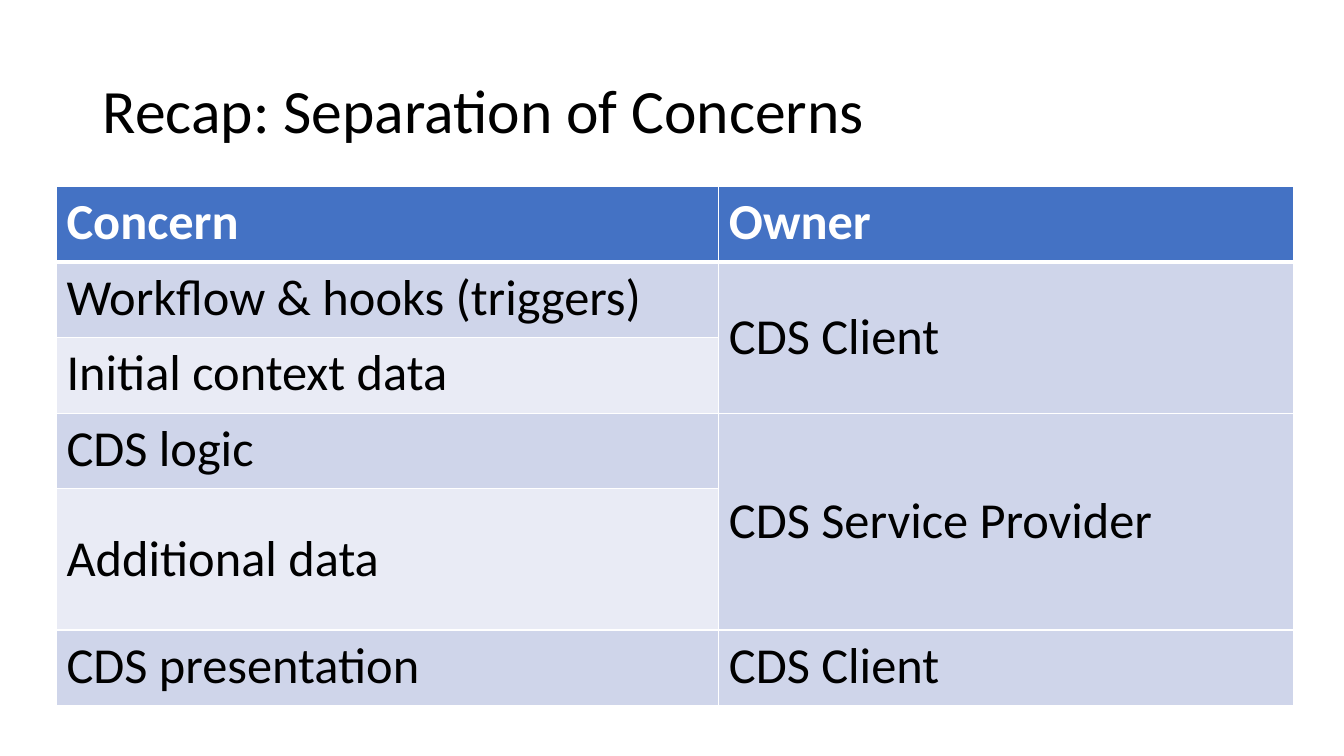
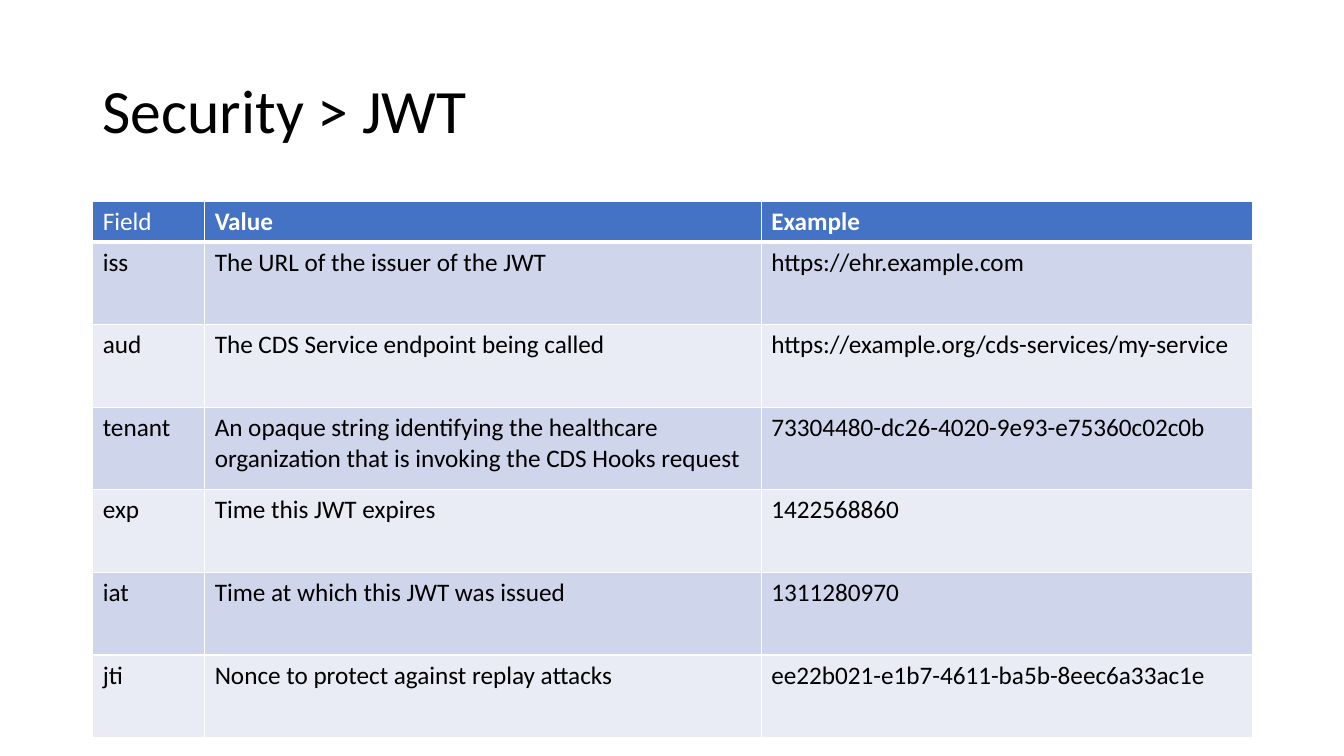
from lxml.etree import SubElement
from pptx import Presentation
from pptx.dml.color import RGBColor
from pptx.enum.text import MSO_ANCHOR as Anchor
from pptx.oxml.ns import qn
from pptx.util import Inches, Pt

FONT = "Calibri"
BLACK, WHITE = "000000", "FFFFFF"
HEADER, BANDS = "4472C4", ("E9EBF5", "CFD5EA")
TITLE_BOX = (0.92, 0.4, 11.5, 1.45)

CONCERNS = [
    ("Concern", "Owner"),
    ("Workflow & hooks (triggers)", "CDS Client"),
    ("Initial context data", None),
    ("CDS logic", "CDS Service Provider"),
    ("Additional data", None),
    ("CDS presentation", "CDS Client"),
]
JWT_FIELDS = [
    ("Field", "Value", "Example"),
    ("iss", "The URL of the issuer of the JWT", "https://ehr.example.com"),
    ("aud", "The CDS Service endpoint being called",
     "https://example.org/cds-services/my-service"),
    ("tenant", "An opaque string identifying the healthcare organization "
     "that is invoking the CDS Hooks request",
     "73304480-dc26-4020-9e93-e75360c02c0b"),
    ("exp", "Time this JWT expires", "1422568860"),
    ("iat", "Time at which this JWT was issued", "1311280970"),
    ("jti", "Nonce to protect against replay attacks",
     "ee22b021-e1b7-4611-ba5b-8eec6a33ac1e"),
]


def paint(color_format, value):
    color_format.rgb = RGBColor.from_string(value)


def write(frame, text, color, **style):
    para = frame.paragraphs[0]
    span = para.add_run()
    span.text = text
    for name, value in {"name": FONT, **style}.items():
        setattr(span.font, name, value)
    paint(span.font.color, color)
    return para


def add_title(slide, text, area):
    box = slide.shapes.add_textbox(*map(Inches, area))
    frame = box.text_frame
    frame.word_wrap = True
    frame.vertical_anchor = Anchor.MIDDLE
    write(frame, text, BLACK, size=Pt(44)).line_spacing = 0.9


def add_borders(cell, row):
    """White rules all round, heavier between the header and the body."""
    widths = {"L": 1, "R": 1, "T": 3 if row == 1 else 1, "B": 3 if row == 0 else 1}
    props = cell._tc.get_or_add_tcPr()
    for side, width in widths.items():
        line = SubElement(props, qn(f"a:ln{side}"), w=str(Pt(width)))
        fill = SubElement(line, qn("a:solidFill"))
        SubElement(fill, qn("a:srgbClr"), val=WHITE)


def add_grid(slide, rows, origin, widths, heights, size, plain=(), middle=()):
    """Banded table; None joins a cell to the one above it."""
    area = (*origin, sum(widths), sum(heights))
    table = slide.shapes.add_table(
        len(rows), len(widths), *map(Inches, area)).table
    for column, width in zip(table.columns, widths):
        column.width = Inches(width)
    for table_row, height in zip(table.rows, heights):
        table_row.height = Inches(height)
    for r, texts in enumerate(rows):
        for c, text in enumerate(texts):
            cell = table.cell(r, c)
            add_borders(cell, r)
            cell.fill.solid()
            paint(cell.fill.fore_color, BANDS[r % 2] if r else HEADER)
            if text is None:
                table.cell(r - 1, c).merge(cell)
                continue
            if (r, c) in middle:
                cell.vertical_anchor = Anchor.MIDDLE
            write(cell.text_frame, text, BLACK if r else WHITE,
                  size=Pt(size), bold=r == 0 and (r, c) not in plain)


def add_table_slide(deck, title, rows, **grid):
    slide = deck.slides.add_slide(deck.slide_layouts[6])
    add_title(slide, title, TITLE_BOX)
    add_grid(slide, rows, **grid)


def main():
    deck = Presentation()
    deck.slide_width, deck.slide_height = Inches(13.33), Inches(7.5)

    # Who owns which concern
    add_table_slide(
        deck, "Recap: Separation of Concerns", CONCERNS,
        origin=(0.56, 1.85), widths=(6.57, 5.7),
        heights=[0.75] * 4 + [1.4, 0.75], size=36,
        middle={(1, 1), (3, 1), (4, 0)})

    # Fields of the token
    add_table_slide(
        deck, "Security > JWT", JWT_FIELDS,
        origin=(0.92, 2), widths=(1.11, 5.52, 4.87),
        heights=[0.38] + [0.82] * 6, size=18, plain={(0, 0)})

    deck.save("out.pptx")


if __name__ == "__main__":
    main()
